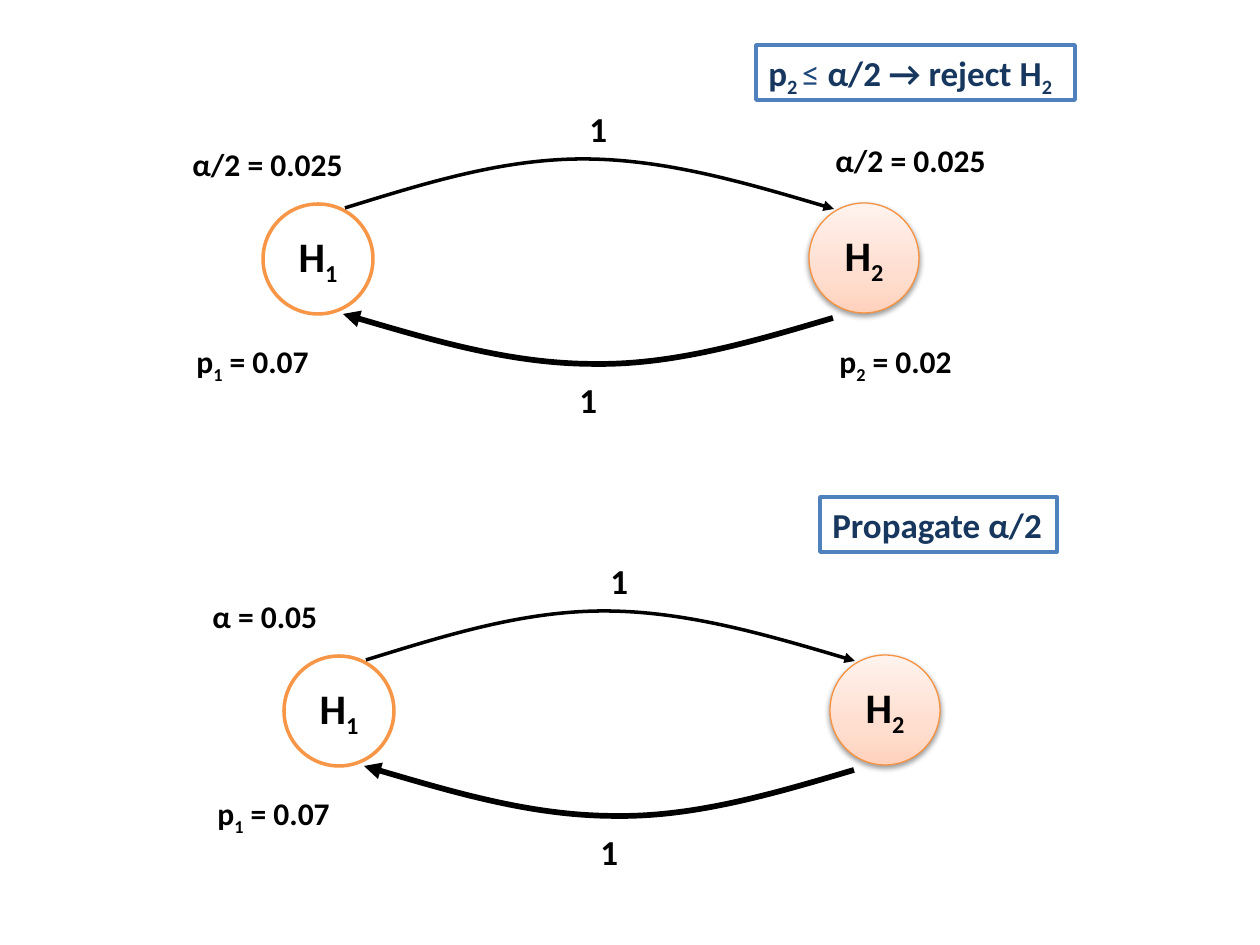
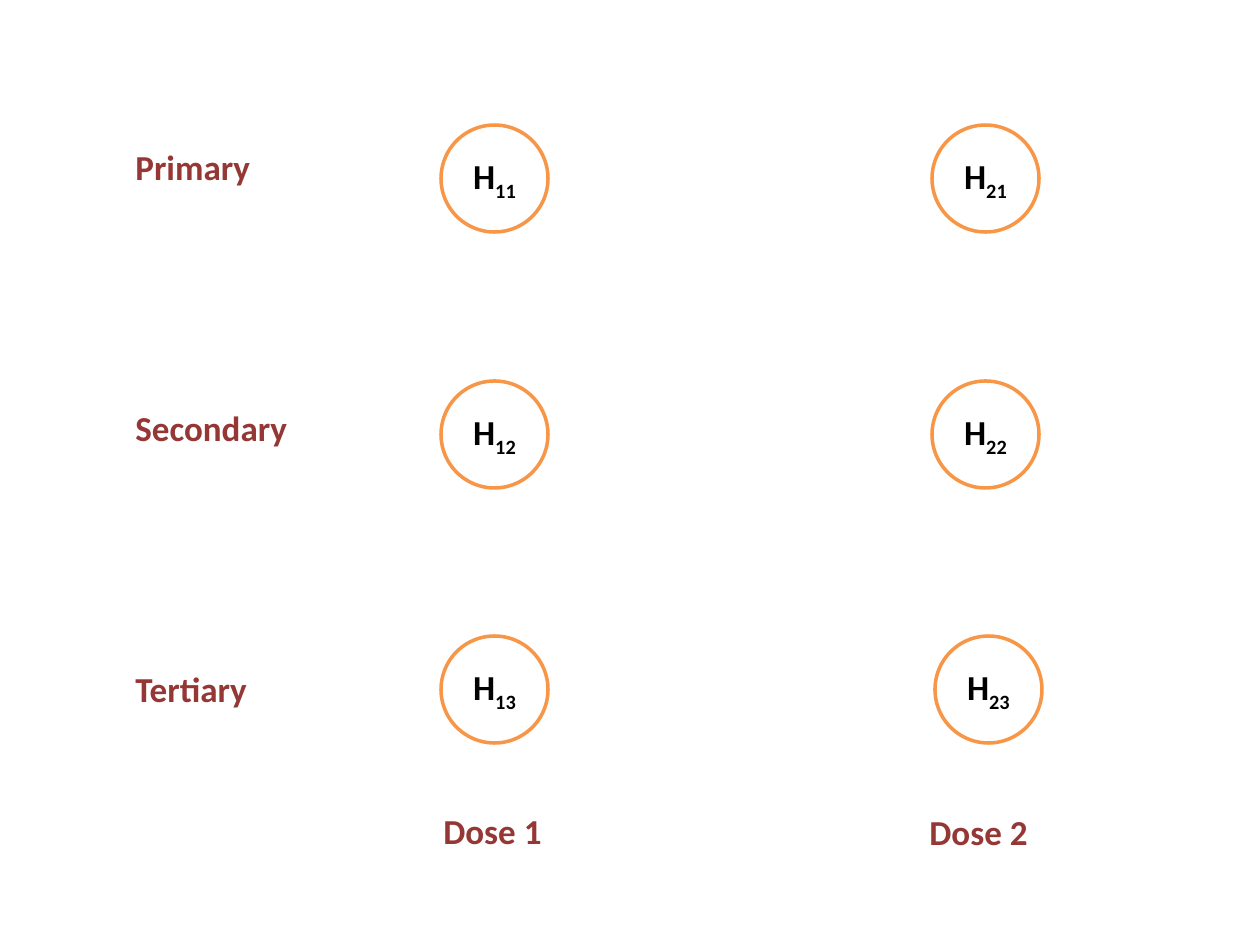
"""Build two slides of hypothesis graphs for multiple testing."""
from dataclasses import dataclass
from typing import NamedTuple

from lxml.etree import SubElement
from pptx import Presentation
from pptx.dml.color import RGBColor
from pptx.enum.shapes import MSO_SHAPE
from pptx.enum.text import MSO_ANCHOR, MSO_AUTO_SIZE, PP_ALIGN
from pptx.oxml.ns import qn
from pptx.util import Emu, Pt

EMU_PER_PX = 914400 / 126


@dataclass(frozen=True)
class Theme:
    font: str = "Calibri"
    ink: str = "000000"
    paper: str = "FFFFFF"
    ring: str = "F79646"
    rejected_ring: str = "F69240"
    rejected_fill: tuple = ((0, "FFD2BD"), (35, "FFDED0"), (100, "FFF2ED"))
    frame: str = "4F81BD"
    note: str = "17375E"
    note_sign: str = "1F497D"
    heading: str = "953735"
    node_size: int = 24
    medium_size: int = 20
    value_size: int = 18


T = Theme()


class Run(NamedTuple):
    text: str
    sub: bool = False
    bold: bool = True
    color: str = ""


class Box(NamedTuple):
    x: int
    y: int
    w: int
    h: int

    def shift(self, dx: int, dy: int) -> "Box":
        return Box(self.x + dx, self.y + dy, self.w, self.h)


@dataclass(frozen=True)
class Label:
    box: Box
    runs: tuple
    size: int = T.value_size
    color: str = T.ink
    filled: bool = False
    line: str = ""


@dataclass(frozen=True)
class Node:
    box: Box
    index: str
    size: int = T.node_size
    rejected: bool = False


@dataclass(frozen=True)
class Arc:
    points: tuple
    width: float


def emu(box: Box) -> list:
    return [Emu(round(v * EMU_PER_PX)) for v in box]


def rgb(color: str) -> RGBColor:
    return RGBColor.from_string(color)


def add_runs(p, runs: tuple, size: int, color: str) -> None:
    for run in runs:
        r = p.add_run()
        r.text = run.text
        r.font.name, r.font.size, r.font.bold = T.font, Pt(size), run.bold
        r.font.color.rgb = rgb(run.color or color)
        if run.sub:
            r._r.get_or_add_rPr().set("baseline", "-25000")


def add_outline(sp, color: str, width: float) -> None:
    sp.line.color.rgb = rgb(color)
    sp.line.width = Pt(width)


def add_label(s, label: Label, dx: int = 0, dy: int = 0) -> None:
    box = emu(label.box.shift(dx, dy))
    if label.filled:
        sp = s.shapes.add_shape(MSO_SHAPE.RECTANGLE, *box)
        sp.shadow.inherit = False
        sp.fill.solid()
        sp.fill.fore_color.rgb = rgb(T.paper)
        if label.line:
            add_outline(sp, label.line, 2)
        else:
            sp.line.fill.background()
    else:
        sp = s.shapes.add_textbox(*box)
    tf = sp.text_frame
    tf.word_wrap = False
    tf.auto_size = MSO_AUTO_SIZE.SHAPE_TO_FIT_TEXT
    tf.vertical_anchor = MSO_ANCHOR.TOP
    p = tf.paragraphs[0]
    p.alignment = PP_ALIGN.LEFT
    add_runs(p, label.runs, label.size, label.color)


def add_color(parent, color: str):
    return SubElement(parent, qn("a:srgbClr"), val=color)


def shade_rejected(sp) -> None:
    sp.fill.gradient()
    sp.fill.gradient_angle = 90
    stops = sp._element.spPr.find(qn("a:gradFill")).find(qn("a:gsLst"))
    for stop in list(stops):
        stops.remove(stop)
    for pos, color in T.rejected_fill:
        add_color(SubElement(stops, qn("a:gs"), pos=str(pos * 1000)), color)
    effects = sp._element.spPr.find(qn("a:effectLst"))
    shadow = SubElement(effects, qn("a:outerShdw"), blurRad="39400", dist="20300",
                        dir="5400000", rotWithShape="0")
    SubElement(add_color(shadow, T.ink), qn("a:alpha"), val="38000")


def add_node(s, node: Node, dx: int = 0, dy: int = 0) -> None:
    sp = s.shapes.add_shape(MSO_SHAPE.OVAL, *emu(node.box.shift(dx, dy)))
    sp.shadow.inherit = False
    if node.rejected:
        shade_rejected(sp)
        add_outline(sp, T.rejected_ring, 0.75)
    else:
        sp.fill.solid()
        sp.fill.fore_color.rgb = rgb(T.paper)
        add_outline(sp, T.ring, 2)
    tf = sp.text_frame
    tf.word_wrap = False
    tf.vertical_anchor = MSO_ANCHOR.MIDDLE
    p = tf.paragraphs[0]
    p.alignment = PP_ALIGN.CENTER
    add_runs(p, (Run("H"), Run(node.index, sub=True)), node.size, T.ink)


def add_arc(s, arc: Arc, dx: int = 0, dy: int = 0) -> None:
    start, *rest = [(x + dx, y + dy) for x, y in arc.points]
    builder = s.shapes.build_freeform(*start, scale=EMU_PER_PX)
    builder.add_line_segments(rest, close=False)
    sp = builder.convert_to_shape()
    sp.shadow.inherit = False
    sp.fill.background()
    add_outline(sp, T.ink, arc.width)
    SubElement(sp.line._get_or_add_ln(), qn("a:tailEnd"), type="triangle")
    segments = list(sp._element.iter(qn("a:lnTo")))
    outline = segments[0].getparent()
    for i in range(0, len(segments), 3):
        curve = SubElement(outline, qn("a:cubicBezTo"))
        for segment in segments[i:i + 3]:
            curve.append(segment[0])
            outline.remove(segment)


NODES = (Node(Box(809, 203, 110, 110), "2", rejected=True),
         Node(Box(263, 204, 110, 110), "1"))
ARCS = (
    Arc(((345, 208), (423, 184), (501, 159), (583, 159),
         (664, 159), (750, 184), (834, 209)), 2),
    Arc(((833, 318), (755, 341), (675, 365), (595, 364),
         (513, 364), (428, 339), (343, 314)), 3.25),
)
SHARED_LABELS = (
    Label(Box(577, 101, 43, 55), (Run("1"),), T.medium_size),
    Label(Box(567, 372, 43, 55), (Run("1"),), T.medium_size),
    Label(Box(184, 336, 141, 50), (Run("p"), Run("1", sub=True), Run(" = 0.07"))),
)
BEFORE = (
    Label(Box(180, 139, 178, 50), (Run("α/2 = 0.025"),)),
    Label(Box(823, 135, 178, 50), (Run("α/2 = 0.025"),)),
    Label(Box(827, 336, 141, 50), (Run("p"), Run("2", sub=True), Run(" = 0.02"))),
    Label(Box(756, 45, 319, 55),
          (Run("p"), Run("2 ", sub=True), Run("≤ ", bold=False, color=T.note_sign),
           Run("α/2 → reject H"), Run("2", sub=True)),
          T.medium_size, T.note, True, T.frame),
)
AFTER = (
    Label(Box(179, 139, 131, 50), (Run("α = 0.05"),)),
    Label(Box(799, 45, 237, 55), (Run("Propagate α/2"),),
          T.medium_size, T.note, True, T.frame),
)


def add_graph(s, labels: tuple, dx: int, dy: int) -> None:
    for node in NODES:
        add_node(s, node, dx, dy)
    for arc in ARCS:
        add_arc(s, arc, dx, dy)
    for label in SHARED_LABELS + labels:
        add_label(s, label, dx, dy)


def add_heading(s, text: str, box: Box) -> None:
    add_label(s, Label(box, (Run(text),), T.medium_size, T.heading, True))


def build_propagation(prs) -> None:
    s = prs.slides.add_slide(prs.slide_layouts[6])
    add_graph(s, BEFORE, 0, 0)
    add_graph(s, AFTER, 21, 452)


def build_dose_grid(prs) -> None:
    s = prs.slides.add_slide(prs.slide_layouts[6])
    rows = (("Primary", 141, 932), ("Secondary", 179, 932), ("Tertiary", 139, 935))
    for i, (name, width, right) in enumerate(rows):
        add_heading(s, name, Box(123, 139 + 261 * i, width, 55))
        for dose, x in enumerate((441, right), 1):
            box = Box(x, 125 + round(255.5 * i), 107, 107)
            add_node(s, Node(box, f"{dose}{i + 1}", T.medium_size))
    for dose, (x, y) in enumerate(((431, 803), (917, 804)), 1):
        add_heading(s, f"Dose {dose}", Box(x, y, 125, 55))


def main() -> None:
    prs = Presentation()
    prs.slide_width, prs.slide_height = emu(Box(0, 0, 1260, 945))[2:]
    build_propagation(prs)
    build_dose_grid(prs)
    prs.save("out.pptx")


main()
